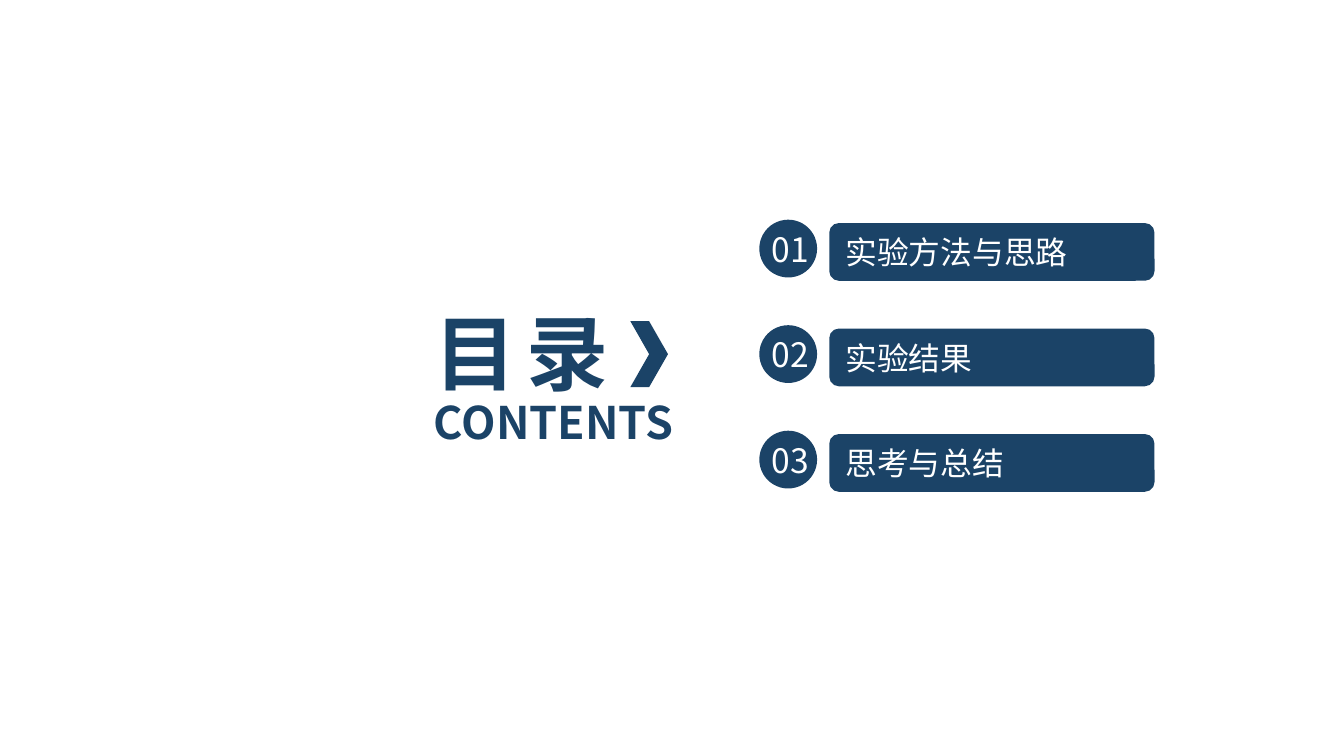
"""Build a contents slide with a heading and three numbered entries."""
from typing import NamedTuple

from lxml.etree import SubElement
from pptx import Presentation
from pptx.dml.color import RGBColor
from pptx.enum.shapes import MSO_SHAPE as Shape
from pptx.enum.text import MSO_ANCHOR as Anchor, PP_ALIGN as Align
from pptx.oxml.ns import qn
from pptx.util import Emu, Pt

PX = 914400 // 200
FONT = "Noto Sans CJK SC"
COLORS = {"navy": "1B4367", "white": "FFFFFF"}
ROW_PITCH = 157


class Box(NamedTuple):
    x: int
    y: int
    w: int
    h: int

    def down(self, dy: int) -> "Box":
        return self._replace(y=self.y + dy)

    def emu(self) -> tuple[Emu, ...]:
        return tuple(Emu(v * PX) for v in self)


class Style(NamedTuple):
    size: int
    color: str
    bold: bool = False
    align: Align = Align.LEFT
    wrap: bool = True
    spacing: int = 0


class Entry(NamedTuple):
    number: str
    label: str


TITLE = Style(44, "navy", bold=True, spacing=-220)
SUBTITLE = Style(24, "navy", bold=True)
LABEL = Style(17, "white")
NUMBER = Style(18, "white", align=Align.CENTER, wrap=False)

BAR = Box(1234, 332, 484, 86)
CIRCLE = Box(1130, 327, 86, 86)
NUMBER_BOX = Box(1124, 330, 104, 80)

ENTRIES = [
    Entry("01", "实验方法与思路"),
    Entry("02", "实验结果"),
    Entry("03", "思考与总结"),
]


def write(sp, text: str, style: Style) -> None:
    tf = sp.text_frame
    tf.word_wrap = style.wrap
    tf.vertical_anchor = Anchor.MIDDLE
    p = tf.paragraphs[0]
    p.alignment = style.align
    p.line_spacing = 1.0
    p.space_before = Pt(0)
    r = p.add_run()
    r.text = text
    r.font.size = Pt(style.size)
    r.font.bold = style.bold
    r.font.name = FONT
    r.font.color.rgb = RGBColor.from_string(COLORS[style.color])
    rpr = r.font._element
    SubElement(rpr, qn("a:ea")).set("typeface", FONT)
    if style.spacing:
        rpr.set("spc", str(style.spacing))


def add_solid(shapes, kind: Shape, box: Box):
    sp = shapes.add_shape(kind, *box.emu())
    sp.shadow.inherit = False
    sp.fill.solid()
    sp.fill.fore_color.rgb = RGBColor.from_string(COLORS["navy"])
    sp.line.fill.background()
    return sp


def add_text(shapes, box: Box, text: str, style: Style) -> None:
    write(shapes.add_textbox(*box.emu()), text, style)


def add_title(s, box: Box, text: str) -> None:
    sp = s.shapes.title
    sp.left, sp.top, sp.width, sp.height = box.emu()
    write(sp, text, TITLE)


def add_entry(s, entry: Entry, dy: int) -> None:
    write(add_solid(s.shapes, Shape.ROUNDED_RECTANGLE, BAR.down(dy)), entry.label, LABEL)
    badge = s.shapes.add_group_shape().shapes
    add_solid(badge, Shape.OVAL, CIRCLE.down(dy))
    add_text(badge, NUMBER_BOX.down(dy), entry.number, NUMBER)


def main() -> None:
    prs = Presentation()
    prs.slide_width, prs.slide_height = Emu(2000 * PX), Emu(1125 * PX)
    s = prs.slides.add_slide(prs.slide_layouts[5])
    add_title(s, Box(626, 440, 470, 168), "目 录")
    add_text(s.shapes, Box(626, 578, 462, 100), "CONTENTS", SUBTITLE)
    for i, entry in enumerate(ENTRIES):
        add_entry(s, entry, i * ROW_PITCH)
    add_solid(s.shapes, Shape.CHEVRON, Box(938, 478, 56, 98))
    prs.save("out.pptx")


if __name__ == "__main__":
    main()
